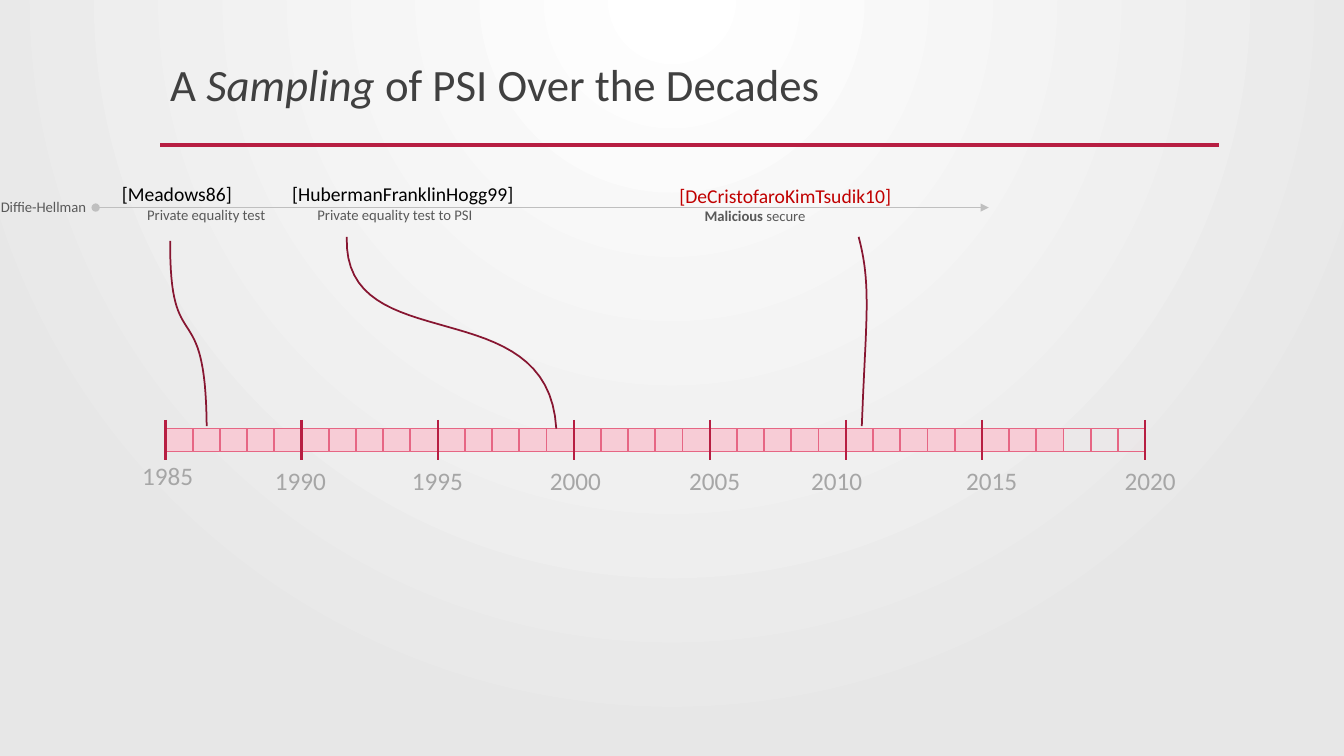
from lxml.etree import SubElement
from pptx import Presentation
from pptx.dml.color import RGBColor
from pptx.enum.shapes import MSO_CONNECTOR as CONN, MSO_SHAPE as SHAPE
from pptx.enum.text import MSO_AUTO_SIZE as AUTO
from pptx.oxml.ns import qn
from pptx.util import Cm, Pt

CRIMSON, PINK, ROSE, WINE = "B71E42", "F7CCD6", "E66684", "871631"
GREY, BLACK, RED = "595959", "000000", "C00000"
YEARS = 36
FILLED = 33
SEGMENTS = 32
YEAR_LABELS = [
    ("1985", -0.84, 0.68), ("1990", 2.51, 0.81), ("1995", 5.96, 0.81),
    ("2000", 9.44, 0.8), ("2005", 12.95, 0.79), ("2010", 16.02, 0.79),
    ("2015", 19.93, 0.79), ("2020", 23.92, 0.79),
]
PAPERS = [
    ((2.82, 4.47, 5.74, 1.3), "[Meadows86]", BLACK,
     [("Private equality test", {})]),
    ((7.11, 4.47, 7.01, 1.3), "[HubermanFranklinHogg99]", BLACK,
     [("Private equality test to PSI", {})]),
    ((16.87, 4.5, 7.21, 1.3), "[DeCristofaroKimTsudik10]", RED,
     [("Malicious ", {"bold": True}), ("secure", {})]),
]
CURVES = [
    [(8.74, 5.97), (8.64, 9.12), (13.82, 7.24), (14.02, 10.8)],
    [(4.29, 6.07), (4.27, 9.14), (5.18, 7.32), (5.21, 10.74)],
    [(21.64, 5.97), (21.97, 7.21), (21.82, 8.05), (21.72, 10.74)],
]


def rgb(value):
    """Turn a hex string into a colour."""
    return RGBColor.from_string(value)


def add_run(p, text, size, color, **formats):
    """Add a formatted run to a paragraph."""
    r = p.add_run()
    r.text = text
    for name, value in {"name": "Calibri", "size": Pt(size), **formats}.items():
        setattr(r.font, name, value)
    r.font.color.rgb = rgb(color)


def add_text(s, box, wrap=True):
    """Add an empty text box and return its text frame."""
    tf = s.shapes.add_textbox(*map(Cm, box)).text_frame
    tf.word_wrap = wrap
    return tf


def set_line(sp, color, width):
    """Set the colour and width of an outline."""
    sp.line.color.rgb = rgb(color)
    sp.line.width = Pt(width)


def add_line(s, start, end, color, width):
    """Add a straight line without a shadow."""
    sp = s.shapes.add_connector(CONN.STRAIGHT, *map(Cm, start + end))
    set_line(sp, color, width)
    SubElement(sp._element.spPr, qn("a:effectLst"))
    return sp


def add_background(s):
    """Fill the background with a glow from the top centre."""
    fill = s.background.fill
    fill.gradient()
    for stop, color in zip(fill.gradient_stops, ("FFFFFF", "E7E7E7")):
        stop.color.rgb = rgb(color)
    grad = next(s._element.iter(qn("a:gradFill")))
    grad.remove(grad.find(qn("a:lin")))
    glow = SubElement(grad, qn("a:path"), path="circle")
    SubElement(glow, qn("a:fillToRect"), l="43000", t="0", r="43000", b="100000")


def add_title(s, box):
    """Place the title and the rule below it."""
    x, y, w, h = box
    p = add_text(s, box).paragraphs[0]
    p.line_spacing = 0.9
    for text, italic in (("A ", False), ("Sampling", True),
                         (" of PSI Over the Decades", False)):
        add_run(p, text, 32, "404040", italic=italic)
    add_line(s, (x, y + 2.18), (x + w, y + 2.18), CRIMSON, 2.5)


def add_arrow(s, box):
    """Place the arrow with its label on the left."""
    x, y, w, h = box
    sp = add_line(s, (x, y + h / 2), (x + w, y + h / 2), "BFBFBF", 0.75)
    ln = sp.line._get_or_add_ln()
    SubElement(ln, qn("a:headEnd"), type="oval")
    SubElement(ln, qn("a:tailEnd"), type="triangle")
    tf = add_text(s, (x - 2.64, y, 2.79, h), wrap=False)
    add_run(tf.paragraphs[0], "Diffie-Hellman", 10.5, GREY)


def add_timeline(s, box):
    """Place the year cells, the five-year ticks and the year labels."""
    x, y, w, h = box
    pitch = w / YEARS
    for i in range(YEARS):
        cell = (x + i * pitch, y, pitch, h)
        sp = s.shapes.add_shape(SHAPE.RECTANGLE, *map(Cm, cell))
        sp.shadow.inherit = False
        sp.fill.solid()
        sp.fill.fore_color.rgb = rgb(PINK)
        set_line(sp, ROSE, 1.25)
        if i >= FILLED:
            color = sp._element.spPr.find(qn("a:solidFill"))[0]
            SubElement(color, qn("a:alpha"), val="8000")
    for i in [*range(0, YEARS - 5, 5), YEARS]:
        tick = x + i * pitch
        add_line(s, (tick, y - 0.22), (tick, y + 0.8), CRIMSON, 1.5)
    for year, dx, dy in YEAR_LABELS:
        tf = add_text(s, (x + dx, y + dy, 2.1, 1.02))
        add_run(tf.paragraphs[0], year, 18, "A6A6A6")


def add_paper(s, box, cite, color, note):
    """Place a citation with an indented note below it."""
    tf = add_text(s, box)
    tf.auto_size = AUTO.SHAPE_TO_FIT_TEXT
    add_run(tf.paragraphs[0], cite, 14, color)
    p = tf.add_paragraph()
    p._p.get_or_add_pPr().set("marL", str(Cm(0.64)))
    for text, formats in note:
        add_run(p, text, 10.5, GREY, **formats)


def add_curve(s, points):
    """Draw a cubic curve through four control points."""
    def at(t):
        weights = ((1 - t) ** 3, 3 * t * (1 - t) ** 2, 3 * t * t * (1 - t), t ** 3)
        return tuple(Cm(sum(k * v for k, v in zip(weights, axis)))
                     for axis in zip(*points))

    builder = s.shapes.build_freeform(*at(0))
    builder.add_line_segments([at(i / SEGMENTS) for i in range(1, SEGMENTS + 1)],
                              close=False)
    sp = builder.convert_to_shape()
    sp.shadow.inherit = False
    sp.fill.background()
    set_line(sp, WINE, 1.25)


def main():
    """Build the slide and save it."""
    prs = Presentation()
    prs.slide_width, prs.slide_height = Cm(33.87), Cm(19.05)
    s = prs.slides.add_slide(prs.slide_layouts[6])
    add_background(s)
    add_title(s, (4.04, 1.47, 26.68, 1.96))
    add_arrow(s, (2.41, 4.86, 22.51, 0.74))
    add_timeline(s, (4.17, 10.8, 24.69, 0.58))
    for paper in PAPERS:
        add_paper(s, *paper)
    for points in CURVES:
        add_curve(s, points)
    prs.save("out.pptx")


if __name__ == "__main__":
    main()
